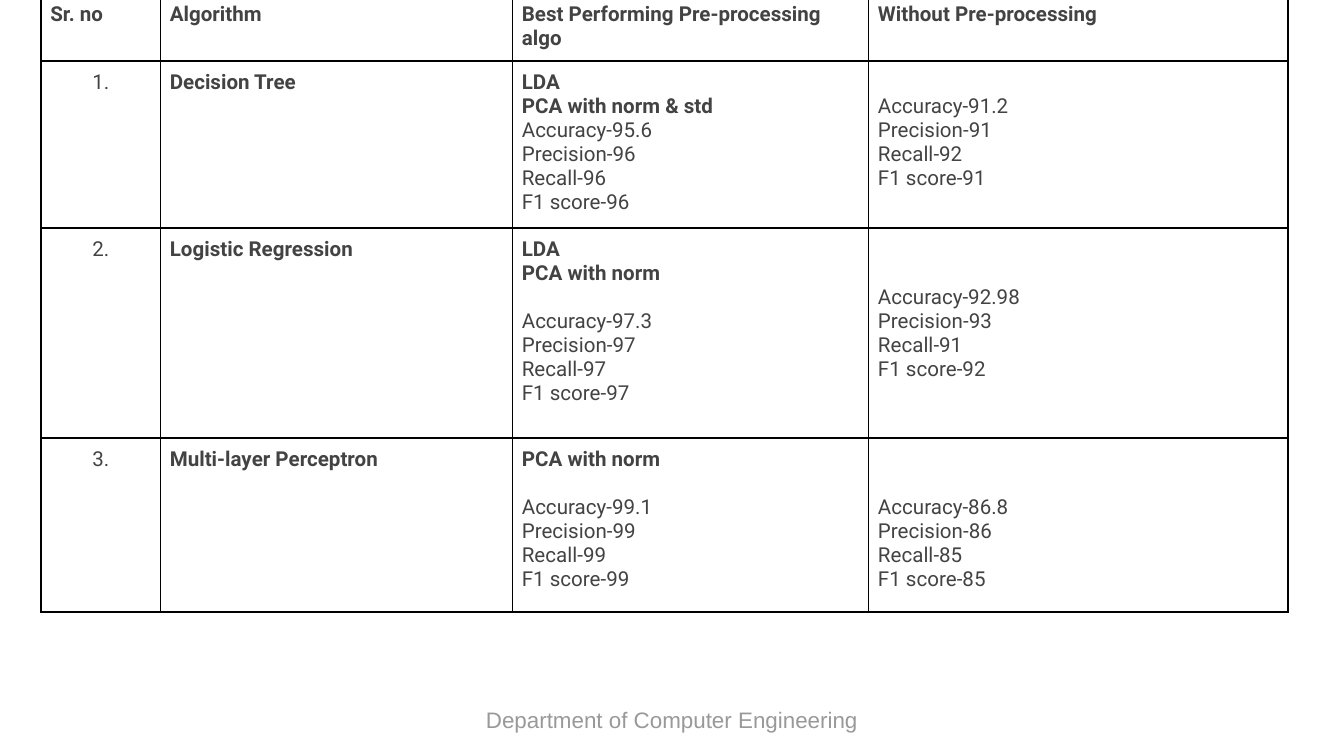
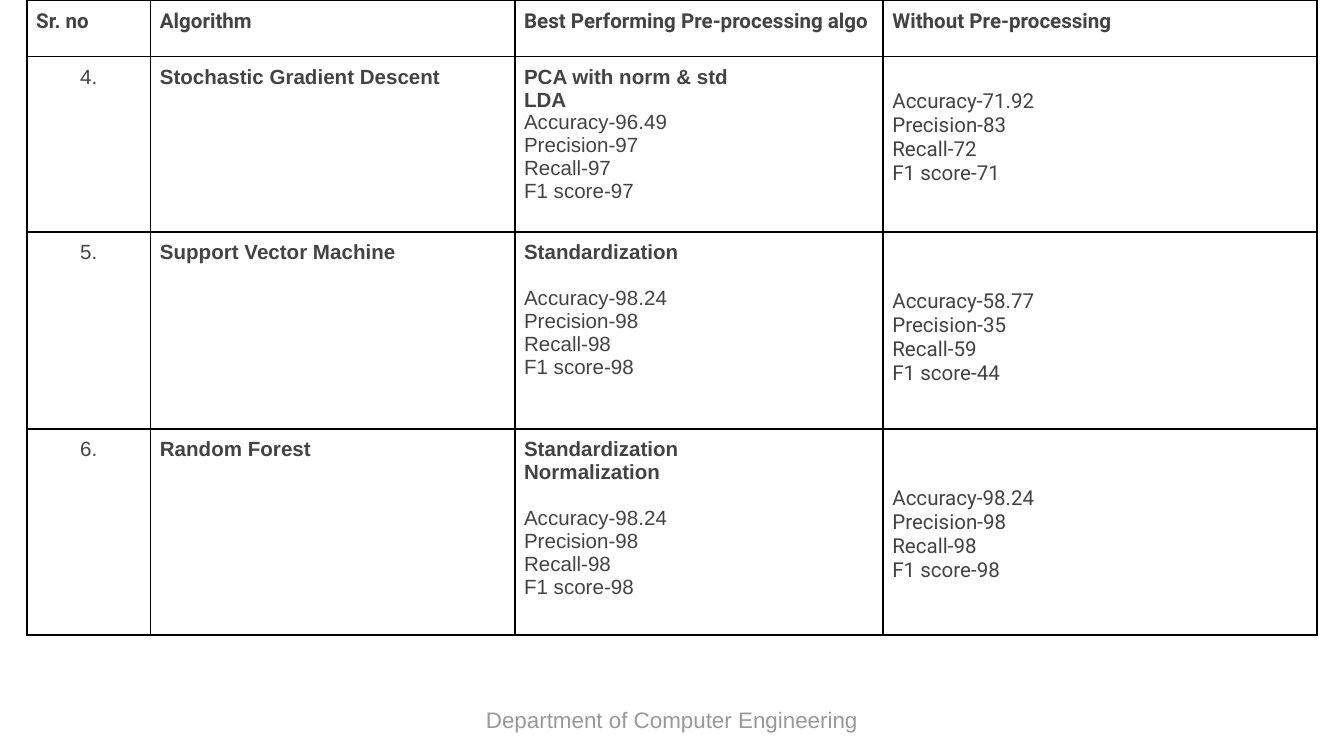
from lxml.etree import SubElement
from pptx import Presentation
from pptx.dml.color import RGBColor as Rgb
from pptx.enum.text import PP_ALIGN as Align
from pptx.oxml.ns import qn
from pptx.util import Pt

COLORS = {"text": "434343", "footer": "999999", "border": "000000", "cell": "FFFFFF"}
LINE_PITCH = {"Roboto": 12.9, "Arial": 12.3}
INSET = 5
HEADINGS = ["Sr. no", "Algorithm", "Best Performing Pre-processing algo", "Without Pre-processing"]
METRICS = ["Accuracy", "Precision", "Recall", "F1 score"]

RESULT_PAGES = [
    {
        "left": 22, "top": -3.6, "font": "Roboto",
        "columns": [64, 188.6, 190.8, 224.6],
        "rows": [35.8, 87.9, 112.5, 93.2],
        "results": [
            ("1.", "Decision Tree", ["LDA", "PCA with norm & std"], 0,
             ["95.6", "96", "96", "96"], 1, ["91.2", "91", "92", "91"]),
            ("2.", "Logistic Regression", ["LDA", "PCA with norm"], 1,
             ["97.3", "97", "97", "97"], 2, ["92.98", "93", "91", "92"]),
            ("3.", "Multi-layer Perceptron", ["PCA with norm"], 1,
             ["99.1", "99", "99", "99"], 2, ["86.8", "86", "85", "85"]),
        ],
    },
    {
        "left": 14.4, "top": 0, "font": "Arial",
        "columns": [66.3, 195.1, 197.3, 232.6],
        "rows": [30.2, 94, 105.7, 110.4],
        "results": [
            ("4.", "Stochastic Gradient Descent", ["PCA with norm & std", "LDA"], 0,
             ["96.49", "97", "97", "97"], 1, ["71.92", "83", "72", "71"]),
            ("5.", "Support Vector Machine", ["Standardization"], 1,
             ["98.24", "98", "98", "98"], 2, ["58.77", "35", "59", "44"]),
            ("6.", "Random Forest", ["Standardization", "Normalization"], 1,
             ["98.24", "98", "98", "98"], 2, ["98.24", "98", "98", "98"]),
        ],
    },
]


def write(frame, lines, font="Roboto", size=11, color="text", bold_lines=0, gap=0, align=Align.LEFT):
    frame.word_wrap = True
    for index, line in enumerate(lines):
        paragraph = frame.paragraphs[0] if index == 0 else frame.add_paragraph()
        paragraph.alignment = align
        if gap and index == bold_lines:
            paragraph.space_before = Pt(gap)
        run = paragraph.add_run()
        run.text = line
        run.font.name = font
        run.font.size = Pt(size)
        run.font.bold = index < bold_lines
        run.font.color.rgb = Rgb.from_string(COLORS[color])


def style_cell(cell, lines_above=0):
    cell.margin_left = cell.margin_right = cell.margin_bottom = Pt(INSET)
    cell.margin_top = Pt(INSET + lines_above * LINE_PITCH["Roboto"])
    properties = cell._tc.get_or_add_tcPr()
    for side in ("lnL", "lnR", "lnT", "lnB"):
        border = SubElement(properties, qn(f"a:{side}"), w=str(Pt(1)))
        border_fill = SubElement(border, qn("a:solidFill"))
        SubElement(border_fill, qn("a:srgbClr"), val=COLORS["border"])
    cell.fill.solid()
    cell.fill.fore_color.rgb = Rgb.from_string(COLORS["cell"])


deck = Presentation()
deck.slide_width, deck.slide_height = Pt(720), Pt(405)

for page in RESULT_PAGES:
    slide = deck.slides.add_slide(deck.slide_layouts[6])
    footer = slide.shapes.add_textbox(Pt(164), Pt(371), Pt(392), Pt(22)).text_frame
    footer.margin_left = footer.margin_right = footer.margin_top = footer.margin_bottom = Pt(7.2)
    write(footer, ["Department of Computer Engineering"], font="Arial", size=12,
          color="footer", align=Align.CENTER)

    table = slide.shapes.add_table(
        len(page["rows"]), len(HEADINGS), Pt(page["left"]), Pt(page["top"]),
        Pt(sum(page["columns"])), Pt(sum(page["rows"]))).table
    table.first_row = table.horz_banding = False
    for column, width in zip(table.columns, page["columns"]):
        column.width = Pt(width)
    for row, height in zip(table.rows, page["rows"]):
        row.height = Pt(height)

    for column, heading in enumerate(HEADINGS):
        style_cell(table.cell(0, column))
        write(table.cell(0, column).text_frame, [heading], bold_lines=1)

    font = page["font"]
    for row, result in enumerate(page["results"], start=1):
        number, algorithm, methods, gap_lines, best, lines_above, plain = result
        number_cell, algorithm_cell, best_cell, plain_cell = table.rows[row].cells
        for cell in (number_cell, algorithm_cell, best_cell):
            style_cell(cell)
        style_cell(plain_cell, lines_above)
        best_scores, plain_scores = (
            [f"{metric}-{score}" for metric, score in zip(METRICS, scores)] for scores in (best, plain))
        write(number_cell.text_frame, [number], font=font, align=Align.CENTER)
        write(algorithm_cell.text_frame, [algorithm], font=font, bold_lines=1)
        write(best_cell.text_frame, methods + best_scores, font=font,
              bold_lines=len(methods), gap=gap_lines * LINE_PITCH[font])
        write(plain_cell.text_frame, plain_scores)

deck.save("out.pptx")
